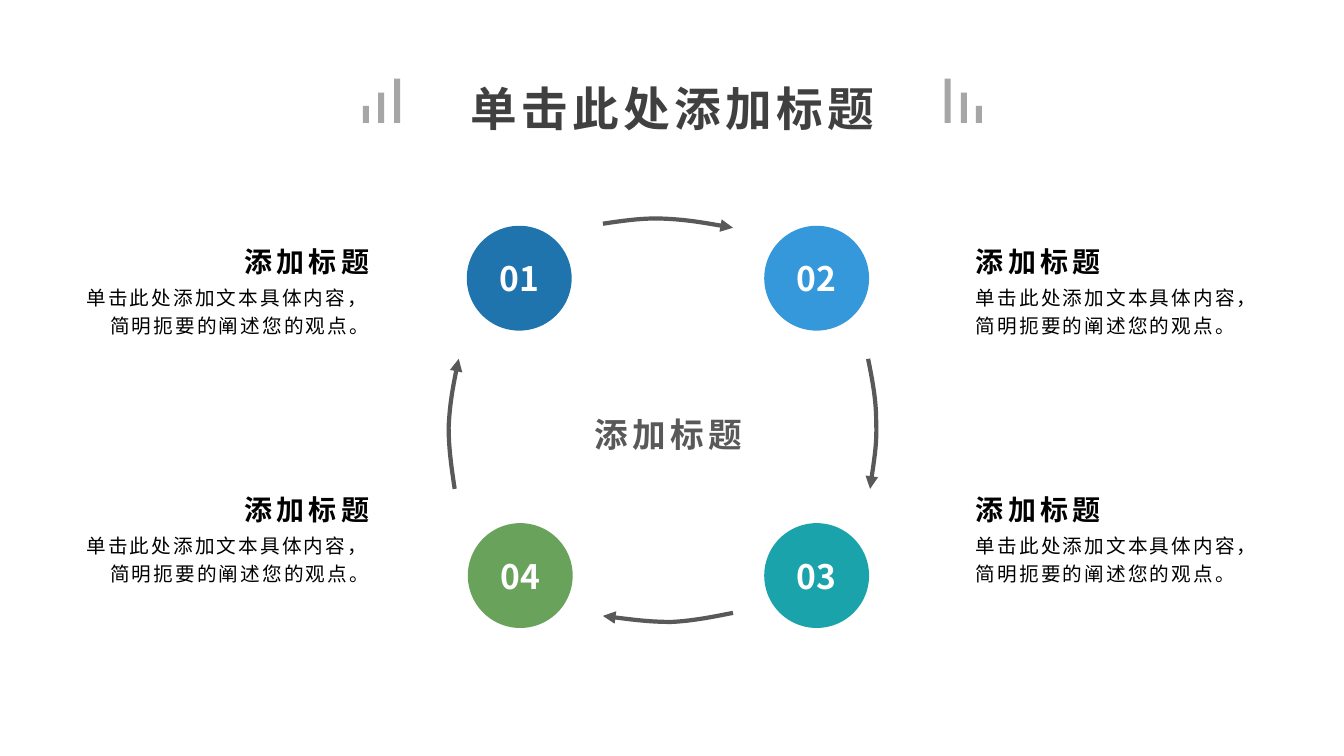
from lxml import etree
from pptx import Presentation
from pptx.dml.color import RGBColor
from pptx.enum.shapes import MSO_SHAPE
from pptx.enum.text import MSO_ANCHOR, MSO_AUTO_SIZE, PP_ALIGN
from pptx.oxml.ns import qn
from pptx.util import Inches, Pt

OVAL, RECTANGLE = MSO_SHAPE.OVAL, MSO_SHAPE.RECTANGLE
TOP, MIDDLE, BOTTOM = MSO_ANCHOR.TOP, MSO_ANCHOR.MIDDLE, MSO_ANCHOR.BOTTOM
LEFT, CENTER, RIGHT = PP_ALIGN.LEFT, PP_ALIGN.CENTER, PP_ALIGN.RIGHT
FONT = "Noto Sans CJK SC"
HEADING = "添加标题"
DETAIL = "单击此处添加文本具体内容，简明扼要的阐述您的观点。"


def paint(color_format, color):
    color_format.rgb = RGBColor.from_string(color)


def write(shape, text, size, color, bold=True, align=CENTER, anchor=MIDDLE,
          line_spacing=1.0, tracking=0, insets=(0.1, 0.05, 0.1, 0.05)):
    frame = shape.text_frame
    frame.word_wrap = True
    frame.auto_size = MSO_AUTO_SIZE.NONE
    frame.vertical_anchor = anchor
    (frame.margin_left, frame.margin_top,
     frame.margin_right, frame.margin_bottom) = map(Inches, insets)
    para = frame.paragraphs[0]
    para.alignment = align
    para.line_spacing = line_spacing
    span = para.add_run()
    span.text = text
    span.font.size = Pt(size)
    span.font.bold = bold
    span.font.name = FONT
    paint(span.font.color, color)
    properties = span.font._element
    properties.set("spc", str(int(tracking * 100)))
    etree.SubElement(properties, qn("a:ea"), typeface=FONT)


deck = Presentation()
deck.slide_width, deck.slide_height = Inches(13.33), Inches(7.5)
page = deck.slides.add_slide(deck.slide_layouts[5])
shapes = page.shapes

title = shapes.title
title.left, title.top, title.width, title.height = map(Inches, (3.97, 0.58, 5.4, 0.82))
write(title, "单击此处添加标题", 33.3, "404040", line_spacing=1.3, tracking=3)

for step, (height, left_bar, right_bar) in enumerate(
        [(0.44, 3.91, 9.37), (0.3, 3.75, 9.53), (0.17, 3.6, 9.68)]):
    for left in (left_bar, right_bar):
        bar = shapes.add_shape(RECTANGLE, Inches(left), Inches(1.22 - height),
                               Inches(0.06), Inches(height))
        bar.shadow.inherit = False
        bar.fill.solid()
        paint(bar.fill.fore_color, "A6A6A6")
        bar.line.fill.background()

steps = [("01", 4.63, 2.24, "1F74AD"), ("02", 7.58, 2.24, "3498DB"),
         ("03", 7.58, 5.19, "1AA3AA"), ("04", 4.64, 5.19, "69A35B")]
for number, left, top, color in steps:
    circle = shapes.add_shape(OVAL, Inches(left), Inches(top), Inches(1.04), Inches(1.04))
    circle.shadow.inherit = False
    circle.fill.solid()
    paint(circle.fill.fore_color, color)
    circle.line.fill.background()
    write(circle, number, 24, "FFFFFF", insets=(0, 0, 0, 0))

center = shapes.add_textbox(Inches(5.48), Inches(3.12), Inches(2.3), Inches(2.29))
write(center, HEADING, 24, "595959", line_spacing=1.2, tracking=3)

for left, align in ((0.74, RIGHT), (9.58, LEFT)):
    for top in (2.32, 4.78):
        heading = shapes.add_textbox(Inches(left), Inches(top), Inches(3.02), Inches(0.44))
        write(heading, HEADING, 20, "000000", align=align, anchor=BOTTOM,
              line_spacing=1.1, tracking=3, insets=(0.1, 0.05, 0.1, 0))
        detail = shapes.add_textbox(Inches(left), Inches(top + 0.47), Inches(3.02), Inches(0.91))
        write(detail, DETAIL, 14, "000000", bold=False, align=align, anchor=TOP,
              line_spacing=1.2, tracking=1.5, insets=(0.1, 0, 0.1, 0.05))

arcs = [
    [(4.55, 3.56), (4.5, 3.79), (4.46, 4.02), (4.45, 4.24), (4.45, 4.45), (4.48, 4.65), (4.51, 4.85)],
    [(8.63, 4.85), (8.66, 4.62), (8.7, 4.39), (8.69, 4.17), (8.69, 3.96), (8.65, 3.76), (8.61, 3.56)],
    [(5.98, 6.11), (6.21, 6.14), (6.45, 6.17), (6.66, 6.17), (6.87, 6.16), (7.07, 6.12), (7.27, 6.08)],
    [(7.27, 2.26), (7.04, 2.22), (6.81, 2.18), (6.59, 2.17), (6.38, 2.16), (6.18, 2.19), (5.98, 2.22)],
]
for arc in arcs:
    points = [(Inches(x), Inches(y)) for x, y in arc]
    builder = shapes.build_freeform(*points[0])
    builder.add_line_segments(points[1:], close=False)
    arrow = builder.convert_to_shape()
    arrow.shadow.inherit = False
    arrow.fill.background()
    arrow.line.width = Pt(3)
    paint(arrow.line.color, "595959")
    etree.SubElement(arrow.line._get_or_add_ln(), qn("a:headEnd"), type="triangle")
    segments = arrow._element.findall(".//" + qn("a:lnTo"))
    outline = segments[0].getparent()
    for first in range(0, len(segments), 3):
        curve = etree.SubElement(outline, qn("a:cubicBezTo"))
        for segment in segments[first:first + 3]:
            curve.append(segment[0])
            outline.remove(segment)

deck.save("out.pptx")
